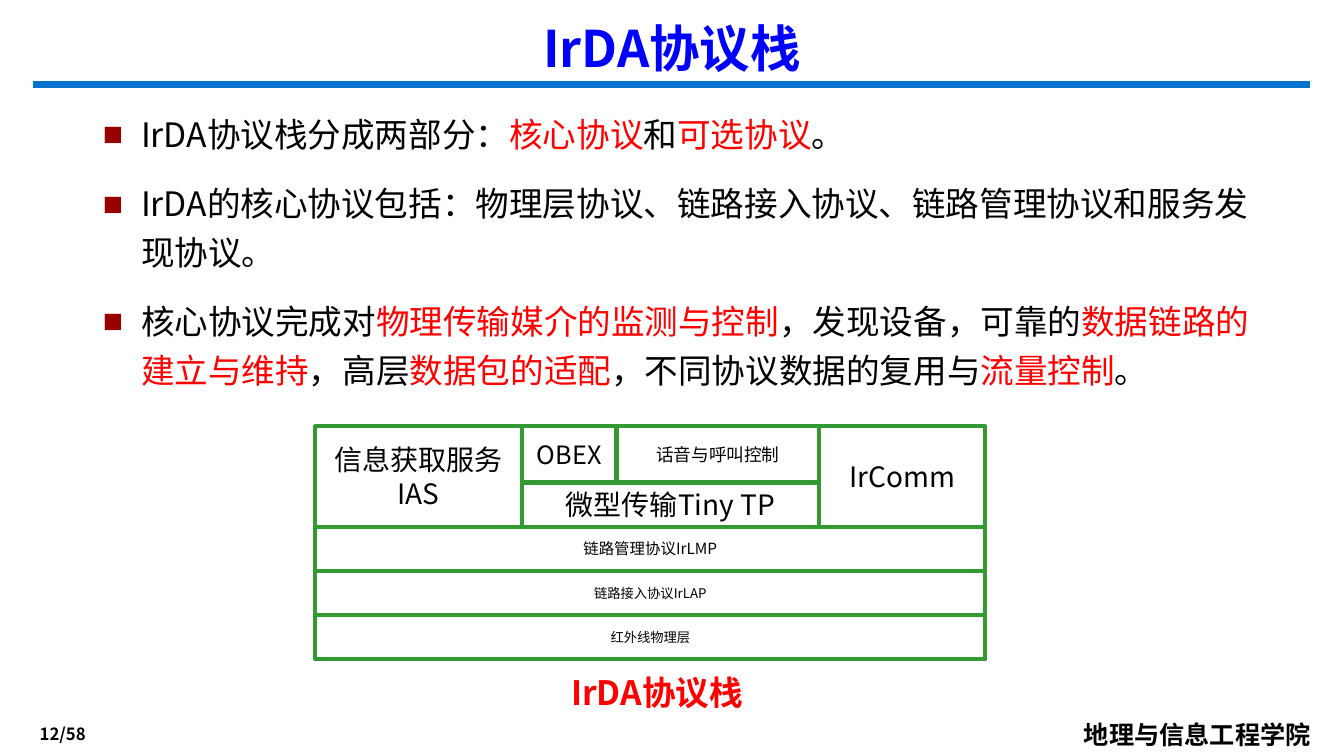
from dataclasses import dataclass
from itertools import accumulate

from lxml import etree
from pptx import Presentation
from pptx.dml.color import RGBColor
from pptx.enum.shapes import MSO_CONNECTOR, MSO_SHAPE
from pptx.enum.text import MSO_ANCHOR, MSO_AUTO_SIZE, PP_ALIGN
from pptx.oxml.ns import qn
from pptx.util import Inches, Pt

RECTANGLE, STRAIGHT = MSO_SHAPE.RECTANGLE, MSO_CONNECTOR.STRAIGHT
LEFT, CENTER, RIGHT = PP_ALIGN.LEFT, PP_ALIGN.CENTER, PP_ALIGN.RIGHT
TOP, MIDDLE, BOTTOM = MSO_ANCHOR.TOP, MSO_ANCHOR.MIDDLE, MSO_ANCHOR.BOTTOM
NO_AUTOFIT = MSO_AUTO_SIZE.NONE
TITLE_AND_CONTENT = 1
SLIDE_WIDTH, SLIDE_HEIGHT = 13.34, 7.5


@dataclass(frozen=True)
class Theme:
    font: str = "Noto Sans CJK SC"
    number_font: str = "Noto Sans CJK JP"
    bullet_font: str = "Arial"
    text: str = "000000"
    title: str = "0000FF"
    accent: str = "FF0000"
    bullet: str = "990000"
    rule: str = "0574D0"
    frame: str = "339933"
    title_size: float = 36
    body_size: float = 24
    footer_size: float = 18
    number_size: float = 12
    rule_width: float = 4.5
    frame_width: float = 3


THEME = Theme()

# Each bullet is a list of (text, is highlighted)
BULLETS = [
    [("IrDA协议栈分成两部分：", False), ("核心协议", True), ("和", False),
     ("可选协议", True), ("。", False)],
    [("IrDA的核心协议包括：物理层协议、链路接入协议、链路管理协议和服务发现协议。", False)],
    [("核心协议完成对", False), ("物理传输媒介的监测与控制", True),
     ("，发现设备，可靠的", False), ("数据链路的建立与维持", True),
     ("，高层", False), ("数据包的适配", True),
     ("，不同协议数据的复用与", False), ("流量控制", True), ("。", False)],
]

# Protocol stack grid: relative sizes, then (text, size, column, row, columns, rows)
STACK_COLUMNS = [2.05, 0.94, 2.01, 1.65]
STACK_ROWS = [0.56, 0.44, 0.44, 0.44, 0.44]
STACK_CELLS = [
    ("信息获取服务IAS", 20, 0, 0, 1, 2),
    ("OBEX", 18, 1, 0, 1, 1),
    ("话音与呼叫控制", 12.6, 2, 0, 1, 1),
    ("IrComm", 20, 3, 0, 1, 2),
    ("微型传输Tiny TP", 20, 1, 1, 2, 1),
    ("链路管理协议IrLMP", 11, 0, 2, 4, 1),
    ("链路接入协议IrLAP", 9.5, 0, 3, 4, 1),
    ("红外线物理层", 9.5, 0, 4, 4, 1),
]


def apply_format(target, values):
    for name, value in values.items():
        setattr(target, name, value)


def place(shape, box):
    names = ("left", "top", "width", "height")
    apply_format(shape, dict(zip(names, map(Inches, box))))


def add_run(paragraph, text, size, color, bold=False, font=THEME.font):
    run = paragraph.add_run()
    run.text = text
    apply_format(run.font, {"name": font, "size": Pt(size), "bold": bold})
    run.font.color.rgb = RGBColor.from_string(color)
    east_asian = etree.SubElement(run.font._element, qn("a:ea"))
    east_asian.set("typeface", font)


def format_frame(frame, anchor, wrap=True):
    apply_format(frame, {
        "word_wrap": wrap, "auto_size": NO_AUTOFIT, "vertical_anchor": anchor,
        "margin_left": Inches(0.1), "margin_right": Inches(0.1),
        "margin_top": Inches(0.05), "margin_bottom": Inches(0.05),
    })


def write_line(shape, text, size, color, align=CENTER, anchor=MIDDLE,
               bold=False, font=THEME.font, wrap=True):
    format_frame(shape.text_frame, anchor, wrap)
    paragraph = shape.text_frame.paragraphs[0]
    paragraph.alignment = align
    add_run(paragraph, text, size, color, bold, font)


def add_label(slide, box, *content, **style):
    label = slide.shapes.add_textbox(*map(Inches, box))
    write_line(label, *content, **style)


def add_bullet(paragraph):
    properties = paragraph._p.get_or_add_pPr()
    properties.set("marL", str(Inches(0.38)))
    properties.set("indent", str(-Inches(0.38)))
    color = etree.SubElement(properties, qn("a:buClr"))
    etree.SubElement(color, qn("a:srgbClr")).set("val", THEME.bullet)
    etree.SubElement(properties, qn("a:buFont")).set("typeface", THEME.bullet_font)
    etree.SubElement(properties, qn("a:buChar")).set("char", "■")


def add_frame(slide, box):
    frame = slide.shapes.add_shape(RECTANGLE, *map(Inches, box))
    frame.shadow.inherit = False
    frame.fill.background()
    frame.line.color.rgb = RGBColor.from_string(THEME.frame)
    frame.line.width = Pt(THEME.frame_width)
    return frame


def build_header(slide, box):
    left, top, width, height = box
    title = slide.shapes.title
    place(title, box)
    write_line(title, "IrDA协议栈", THEME.title_size, THEME.title, bold=True)
    # Rule under the title
    y = Inches(top + height + 0.03)
    rule = slide.shapes.add_connector(
        STRAIGHT, Inches(left + 0.33), y, Inches(left + width - 0.34), y)
    rule.line.color.rgb = RGBColor.from_string(THEME.rule)
    rule.line.width = Pt(THEME.rule_width)
    etree.SubElement(rule._element.spPr, qn("a:effectLst"))


def build_body(slide, box):
    body = slide.placeholders[1]
    place(body, box)
    frame = body.text_frame
    format_frame(frame, TOP)
    for index, parts in enumerate(BULLETS):
        paragraph = frame.add_paragraph() if index else frame.paragraphs[0]
        add_bullet(paragraph)
        apply_format(paragraph, {"alignment": LEFT, "line_spacing": 1.2,
                                 "space_before": Pt(15 if index else 0)})
        for text, highlighted in parts:
            color = THEME.accent if highlighted else THEME.text
            add_run(paragraph, text, THEME.body_size, color)


def build_stack(slide, box):
    left, top, width, height = box
    x_edges = [left + width * edge / sum(STACK_COLUMNS)
               for edge in accumulate(STACK_COLUMNS, initial=0)]
    y_edges = [top + height * edge / sum(STACK_ROWS)
               for edge in accumulate(STACK_ROWS, initial=0)]
    for text, size, column, row, columns, rows in STACK_CELLS:
        x, y = x_edges[column], y_edges[row]
        cell = add_frame(slide, (x, y, x_edges[column + columns] - x,
                                 y_edges[row + rows] - y))
        write_line(cell, text, size, THEME.text)
    # Caption, centred under the stack
    add_label(slide, (left + width * 0.265, top + height + 0.08, width * 0.49, 0.5),
              "IrDA协议栈", THEME.body_size, THEME.accent, anchor=TOP, bold=True)


def build_footer(slide, box):
    left, top, width, height = box
    add_label(slide, (left, top + 0.05, 0.95, 0.29), "12/58", THEME.number_size,
              THEME.text, align=RIGHT, anchor=BOTTOM, bold=True,
              font=THEME.number_font)
    add_label(slide, (left + width - 2.68, top, 2.45, height), "地理与信息工程学院",
              THEME.footer_size, THEME.text, align=LEFT, anchor=TOP, bold=True,
              wrap=False)


def main():
    presentation = Presentation()
    presentation.slide_width = Inches(SLIDE_WIDTH)
    presentation.slide_height = Inches(SLIDE_HEIGHT)
    slide = presentation.slides.add_slide(
        presentation.slide_layouts[TITLE_AND_CONTENT])
    build_header(slide, (0, 0.13, SLIDE_WIDTH, 0.68))
    build_body(slide, (0.92, 1, 11.81, 3.5))
    build_stack(slide, (3.13, 4.23, 6.65, 2.31))
    build_footer(slide, (0, 7.09, SLIDE_WIDTH, 0.4))
    presentation.save("out.pptx")


if __name__ == "__main__":
    main()
